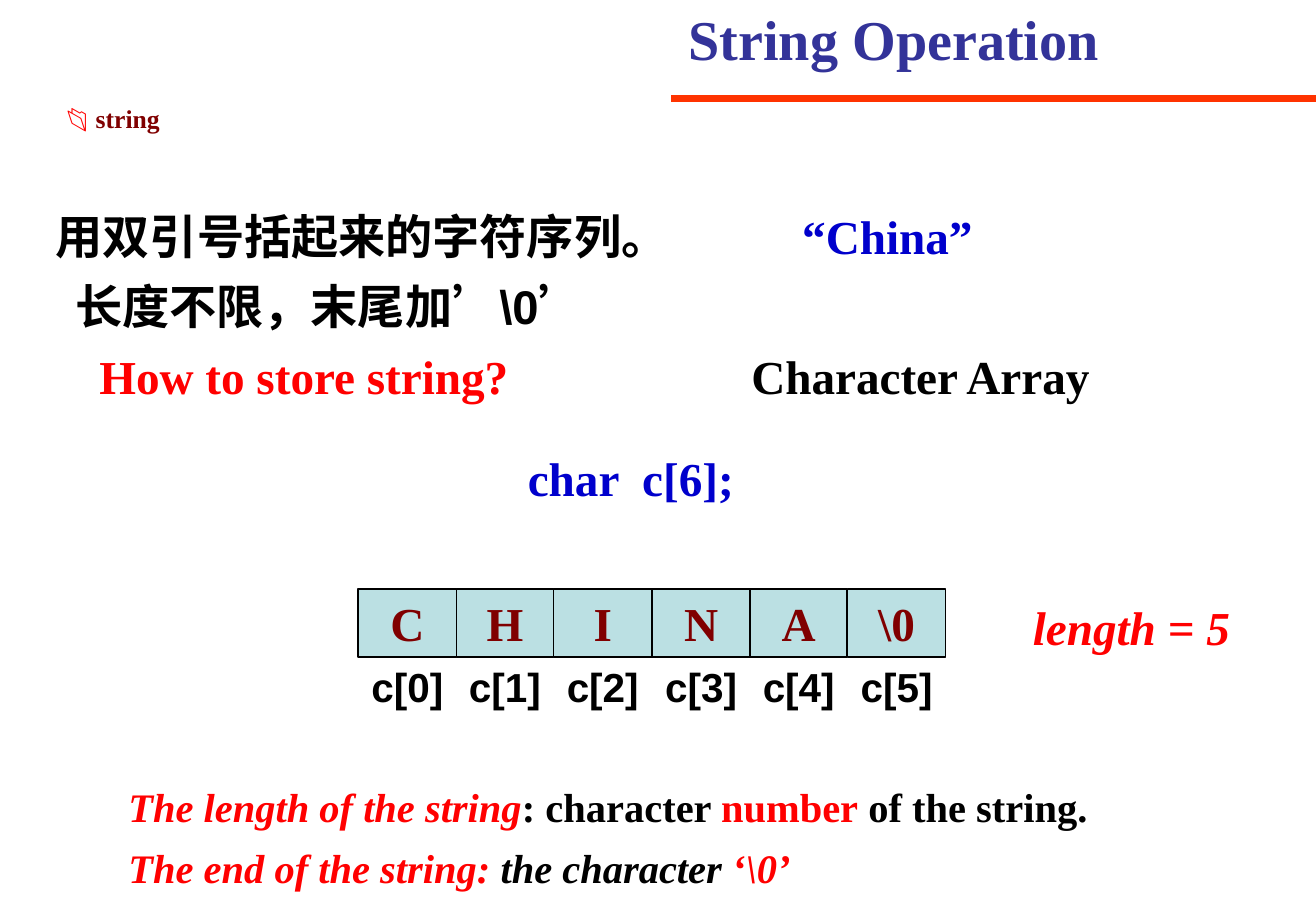
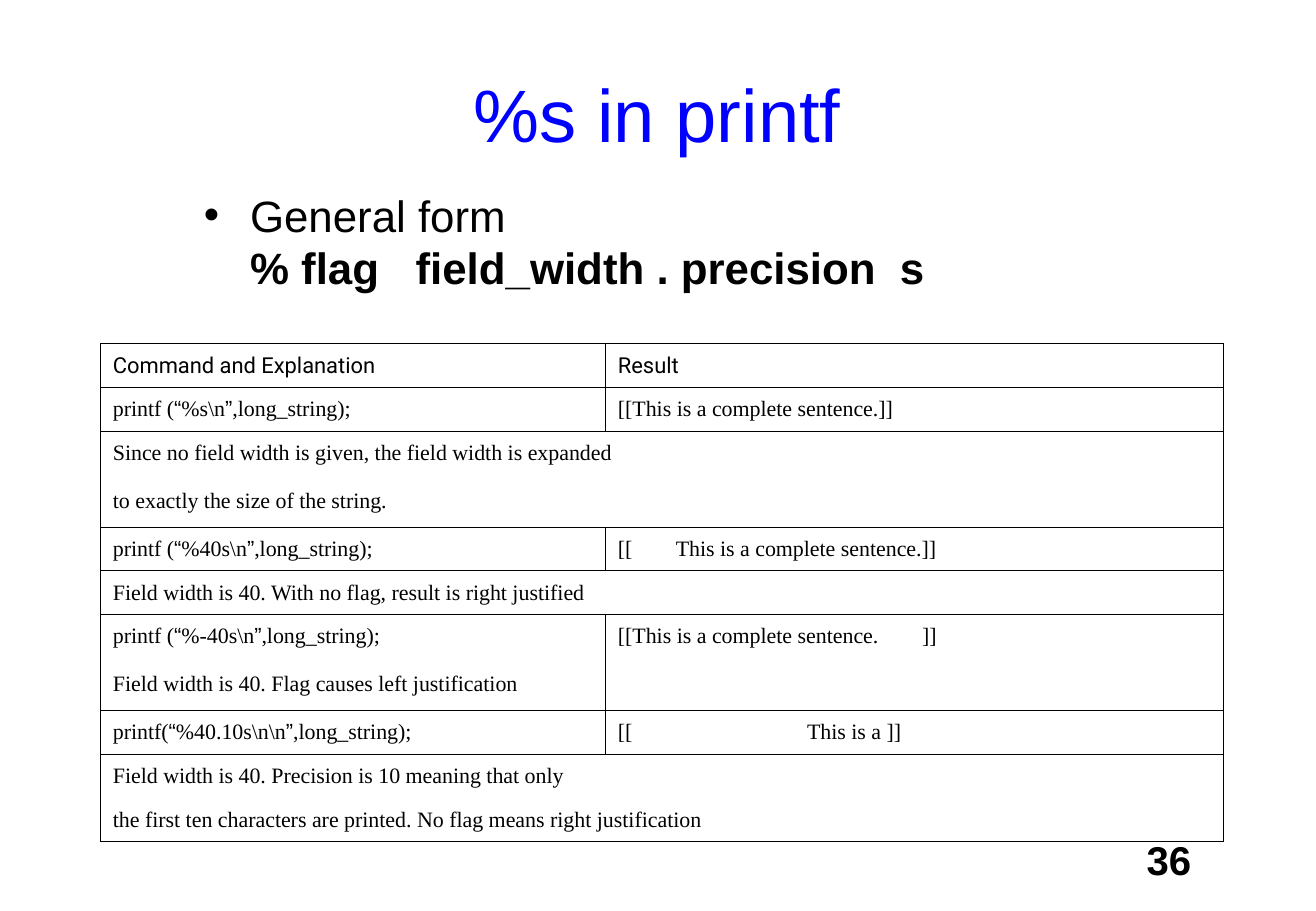
from itertools import groupby

from lxml.etree import SubElement
from pptx import Presentation
from pptx.dml.color import RGBColor
from pptx.enum.shapes import MSO_CONNECTOR as CONN, MSO_SHAPE as SHAPE
from pptx.enum.text import MSO_ANCHOR as ANCHOR, MSO_AUTO_SIZE as AUTO, PP_ALIGN as ALIGN
from pptx.oxml.ns import qn
from pptx.util import Emu, Pt

PX = 9144
COLORS = {
    "title": "333399", "rule": "FF3300", "red": "FF0000", "maroon": "800000",
    "code": "0000CC", "black": "000000", "cell": "BBE0E3", "heading": "0000FF",
}
SERIF, SANS, HEADER = "Times New Roman", "Arial", "Roboto"
ROW_H, TALL_ROW_H = 36, 43
THIN, THICK = 0.45, 0.96


def px(n):
    """Turn whole px into EMU."""
    return Emu(n * PX)


def rgb(name):
    """Look up a palette colour."""
    return RGBColor.from_string(COLORS[name])


def add_run(p, text, size, color="black", font=SERIF, style="b"):
    """Add one run; style holds b for bold and i for italic."""
    r = p.add_run()
    r.text = text
    f = r.font
    f.size, f.name = Pt(size), font
    f.bold, f.italic = "b" in style, "i" in style
    f.color.rgb = rgb(color)


def place(sp, box):
    """Move a shape to a box and return its text frame."""
    sp.left, sp.top, sp.width, sp.height = map(px, box)
    tf = sp.text_frame
    tf.word_wrap, tf.auto_size = True, AUTO.NONE
    return tf


def add_text(s, box, runs, size, font=SERIF, align=ALIGN.LEFT):
    """Add a text box of one paragraph from (text, colour, style) runs."""
    tf = place(s.shapes.add_textbox(0, 0, 0, 0), box)
    p = tf.paragraphs[0]
    p.alignment = align
    for text, color, style in runs:
        add_run(p, text, size, color, font, style)
    return tf


def set_title(s, box, text, size, color, font, style):
    """Fill the title placeholder."""
    tf = place(s.shapes.title, box)
    tf.vertical_anchor = ANCHOR.MIDDLE
    p = tf.paragraphs[0]
    p.alignment = ALIGN.CENTER
    add_run(p, text, size, color, font, style)
    return p


def set_bullet(p, char, color, indent):
    """Give a paragraph a coloured bullet with a hanging indent."""
    ppr = p._p.get_or_add_pPr()
    ppr.set("marL", str(px(indent)))
    ppr.set("indent", str(px(-indent)))
    clr = SubElement(ppr, qn("a:buClr"))
    SubElement(clr, qn("a:srgbClr"), val=COLORS[color])
    SubElement(ppr, qn("a:buFont"), typeface=SANS)
    SubElement(ppr, qn("a:buChar"), char=char)


def add_rule(s, x1, x2, y):
    """Draw the rule under the title."""
    ln = s.shapes.add_connector(CONN.STRAIGHT, px(x1), px(y), px(x2), px(y))
    ln.line.color.rgb, ln.line.width = rgb("rule"), Pt(4.5)
    SubElement(ln._element.spPr, qn("a:effectLst"))


def add_array(s, box, values):
    """Draw the array cells across a box, with the index under each."""
    left, top, width, height = box
    for i, value in enumerate(values):
        x = left + round(i * width / len(values))
        w = left + round((i + 1) * width / len(values)) - x
        sp = s.shapes.add_shape(SHAPE.RECTANGLE, 0, 0, 0, 0)
        tf = place(sp, (x, top, w, height))
        sp.shadow.inherit = False
        sp.fill.solid()
        sp.fill.fore_color.rgb = rgb("cell")
        sp.line.color.rgb, sp.line.width = rgb("black"), Pt(1)
        tf.word_wrap, tf.vertical_anchor = False, ANCHOR.MIDDLE
        tf.paragraphs[0].alignment = ALIGN.CENTER
        add_run(tf.paragraphs[0], value, 28, "maroon")
        label = add_text(s, (x, top + height + 2, w, 44),
                         [(f"c[{i}]", "black", "b")], 24, SANS, ALIGN.CENTER)
        label.word_wrap, label.vertical_anchor = False, ANCHOR.MIDDLE


def set_borders(cell, sides, widths):
    """Draw the named sides of a cell and clear the others."""
    tcpr = cell._tc.get_or_add_tcPr()
    for side in "LRTB":
        ln = SubElement(tcpr, qn(f"a:ln{side}"))
        if side in sides:
            ln.set("w", str(Pt(widths.get(side, THIN))))
            fill = SubElement(ln, qn("a:solidFill"))
            SubElement(fill, qn("a:srgbClr"), val=COLORS["black"])
        else:
            SubElement(ln, qn("a:noFill"))


def add_command_table(s, box, cols, rows):
    """Add the table; a row is left, right (None spans), left sides, right sides."""
    left, top, width, height = box
    table = s.shapes.add_table(len(rows), len(cols), px(left), px(top),
                               px(width), px(height)).table
    table.first_row = table.horz_banding = False
    for col, w in zip(table.columns, cols):
        col.width = px(w)
    for i, (command, result, *sides) in enumerate(rows):
        table.rows[i].height = px(TALL_ROW_H if result == "" else ROW_H)
        font = SERIF if i else HEADER
        widths = {} if i else dict.fromkeys("LTR", THICK)
        for j, text in enumerate((command, result)):
            cell = table.cell(i, j)
            set_borders(cell, sides[j], widths)
            cell.fill.background()
            cell.vertical_anchor = ANCHOR.MIDDLE
            p = cell.text_frame.paragraphs[0]
            for quoted, chars in groupby(text or "", lambda ch: ch in "“”"):
                add_run(p, "".join(chars), 13, font=SANS if quoted else font, style="")
        if result is None:
            table.cell(i, 0).merge(table.cell(i, 1))


def build_string_slide(prs):
    """Slide on strings and their storage."""
    s = prs.slides.add_slide(prs.slide_layouts[5])
    p = set_title(s, (464, 0, 545, 70), "String Operation", 33.3, "title", SERIF, "b")
    p.line_spacing = 0.9
    add_rule(s, 553, 1084, 81)

    p = add_text(s, (45, 85, 703, 40), [], 15.2).paragraphs[0]
    p.line_spacing = 0.8
    set_bullet(p, "📂", "red", 24)
    add_run(p, "string", 15.2, "maroon")

    for box, text, color, font in (
        ((36, 166, 600, 57), "用双引号括起来的字符序列。", "black", SANS),
        ((52, 223, 534, 57), "长度不限，末尾加’\\0’", "black", SANS),
        ((651, 166, 209, 57), "“China”", "code", SERIF),
        ((72, 281, 441, 57), "How to store string?", "red", SERIF),
        ((609, 281, 441, 57), "Character Array", "black", SERIF),
        ((425, 365, 226, 57), "char  c[6];", "code", SERIF),
    ):
        add_text(s, box, [(text, color, "b")], 28, font)

    add_array(s, (295, 485, 484, 56), ("C", "H", "I", "N", "A", "\\0"))
    add_text(s, (841, 488, 220, 57), [("length = 5", "red", "bi")], 28)
    add_text(s, (96, 639, 910, 50), [
        ("The length of the string", "red", "bi"), (": character ", "black", "b"),
        ("number", "red", "b"), (" of the string.", "black", "b")], 24)
    add_text(s, (96, 689, 665, 50), [
        ("The end of the string: ", "red", "bi"), ("the character", "black", "bi"),
        (" ‘\\0’", "red", "bi")], 24)


def build_printf_slide(prs):
    """Slide on the %s conversion, with its table."""
    s = prs.slides.add_slide(prs.slide_layouts[1])
    set_title(s, (54, 30, 975, 125), "%s in printf", 44, "heading", SANS, "")

    p = place(s.placeholders[1], (158, 150, 775, 117)).paragraphs[0]
    p.space_before = Pt(0)
    set_bullet(p, "•", "black", 38)
    add_run(p, "General form", 26, font=SANS, style="")
    p.add_line_break()
    add_run(p, "% flag   field_width . precision  s", 26, font=SANS)

    full, upper, lower = "LTRB", "LTR", "LRB"
    add_command_table(s, (83, 283, 925, 410), (416, 509), (
        ("Command and Explanation", "Result", full, full),
        ("printf (“%s\\n”,long_string);", "[[This is a complete sentence.]]", full, full),
        ("Since no field width is given, the field width is expanded", None, upper, upper),
        ("to exactly the size of the string.", "", "LB", "RB"),
        ("printf (“%40s\\n”,long_string);",
         "[[        This is a complete sentence.]]", full, full),
        ("Field width is 40. With no flag, result is right justified", None, full, full),
        ("printf (“%-40s\\n”,long_string);",
         "[[This is a complete sentence.        ]]", upper, upper),
        ("Field width is 40. Flag causes left justification", "", lower, lower),
        ("printf(“%40.10s\\n\\n”,long_string);",
         "[[                                This is a ]]", full, full),
        ("Field width is 40. Precision is 10 meaning that only", None, upper, upper),
        ("the first ten characters are printed. No flag means right justification",
         None, lower, lower),
    ))
    add_text(s, (758, 683, 233, 52), [("36", "black", "b")], 23.8, SANS, ALIGN.RIGHT)


def main():
    """Build and save the slides."""
    prs = Presentation()
    prs.slide_width, prs.slide_height = px(1084), px(750)
    build_string_slide(prs)
    build_printf_slide(prs)
    prs.save("out.pptx")


if __name__ == "__main__":
    main()
